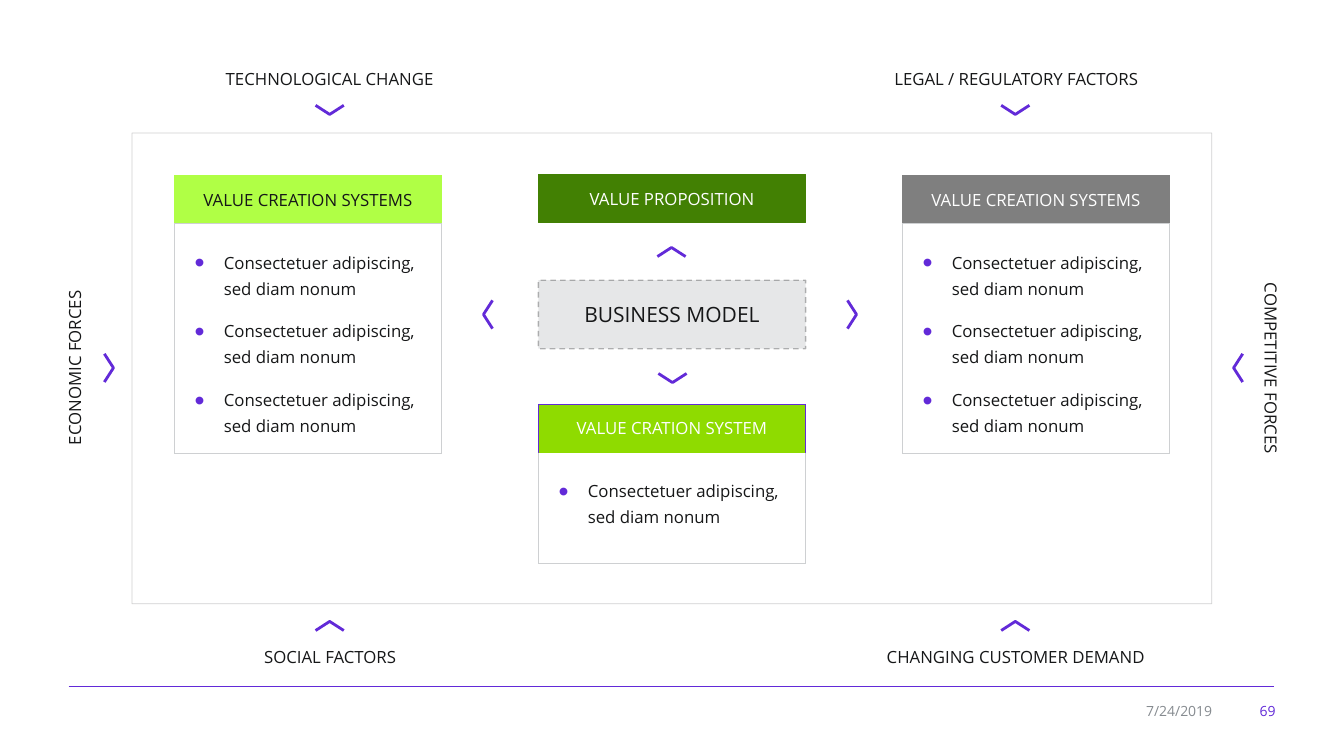
from dataclasses import dataclass
from typing import Any, Dict, Optional

import pptx
import pptx.dml.color
import pptx.enum.dml
import pptx.enum.shapes
import pptx.enum.text
import pptx.oxml.ns
import pptx.util
from lxml import etree

RGBColor = pptx.dml.color.RGBColor
Inches = pptx.util.Inches
Pt = pptx.util.Pt
qn = pptx.oxml.ns.qn
PP_ALIGN = pptx.enum.text.PP_ALIGN
MSO_ANCHOR = pptx.enum.text.MSO_ANCHOR
MSO_SHAPE = pptx.enum.shapes.MSO_SHAPE

FONT = "Open Sans"
INK = RGBColor(0x16, 0x17, 0x18)
WHITE = RGBColor(0xFF, 0xFF, 0xFF)
PURPLE = RGBColor(0x62, 0x2A, 0xD8)
RULE_GREY = RGBColor(0xCE, 0xD0, 0xD2)
DATE_GREY = RGBColor(0x86, 0x8B, 0x90)
GREY = RGBColor(0x7F, 0x7F, 0x7F)
PALE_GREY = RGBColor(0xE6, 0xE7, 0xE8)
LIME = RGBColor(0xB0, 0xFF, 0x45)
GREEN = RGBColor(0x8F, 0xDB, 0x00)
DARK_GREEN = RGBColor(0x42, 0x80, 0x03)

NO_TABLE_STYLE = "{2D5ABB26-0587-4C30-8999-92F81FD0307C}"
BULLET_TEXT = "Consectetuer adipiscing, sed diam nonum"
CARD_W = 2.65
HEAD_H = 0.48
MID_X = 5.34
CHEVRON_W, CHEVRON_H = 0.28, 0.09


@dataclass
class Card:
    x: float
    y: float
    body_h: float
    title: str
    bullets: int
    fill: RGBColor
    edge: RGBColor
    color: RGBColor
    divider: bool = True


@dataclass
class Chevron:
    x: float  # centre
    y: float
    dx: int  # pointing direction
    dy: int


@dataclass
class Label:
    x: float
    y: float
    w: float
    h: float
    text: str
    size: float = 12
    color: RGBColor = INK
    align: Any = PP_ALIGN.CENTER
    vert: Optional[str] = None
    wrap: bool = False


CARDS = [
    Card(8.95, 1.74, 2.28, "VALUE CREATION SYSTEMS", 3, GREY, GREY, WHITE),
    Card(1.73, 1.74, 2.28, "VALUE CREATION SYSTEMS", 3, LIME, LIME, INK),
    Card(MID_X, 4.01, 1.1, "VALUE CRATION SYSTEM", 1, GREEN, PURPLE, WHITE, False),
]
CHEVRONS = [
    # Around the business model
    Chevron(6.67, 3.75, 0, 1), Chevron(6.66, 2.5, 0, -1),
    Chevron(4.84, 3.12, -1, 0), Chevron(8.45, 3.12, 1, 0),
    # From the outside forces
    Chevron(3.27, 1.09, 0, 1), Chevron(10.07, 1.09, 0, 1),
    Chevron(3.27, 6.21, 0, -1), Chevron(10.07, 6.21, 0, -1),
    Chevron(1.08, 3.65, 1, 0), Chevron(12.28, 3.65, -1, 0),
]
LABELS = [
    Label(2.08, 0.63, 2.38, 0.3, "TECHNOLOGICAL CHANGE"),
    Label(8.64, 0.63, 2.88, 0.3, "LEGAL / REGULATORY FACTORS"),
    Label(2.45, 6.37, 1.65, 0.3, "SOCIAL FACTORS"),
    Label(8.64, 6.37, 2.87, 0.3, "CHANGING CUSTOMER DEMAND"),
    Label(0.59, 2.78, 0.4, 1.74, "ECONOMIC FORCES", vert="vert270"),
    Label(12.36, 2.68, 0.4, 1.95, "COMPETITIVE FORCES", vert="vert"),
    Label(12.24, 6.92, 0.51, 0.26, "69", 10, PURPLE, PP_ALIGN.RIGHT, wrap=True),
    Label(11.17, 6.92, 0.95, 0.26, "7/24/2019", 10, DATE_GREY, PP_ALIGN.RIGHT, wrap=True),
]


def add_run(p: Any, text: str, size: float, color: RGBColor) -> None:
    r = p.add_run()
    r.text = text
    r.font.name = FONT
    r.font.size = Pt(size)
    r.font.color.rgb = color


def set_line_alpha(sp: Any, percent: int) -> None:
    clr = sp.line.fill._xPr.find(".//" + qn("a:srgbClr"))
    etree.SubElement(clr, qn("a:alpha"), val=str(percent * 1000))


def set_borders(cell: Any, colors: Dict[str, RGBColor]) -> None:
    tcPr = cell._tc.get_or_add_tcPr()
    for side in "LRTB":
        if side in colors:
            ln = etree.SubElement(tcPr, qn("a:ln" + side), w=str(Pt(0.5)))
            fill = etree.SubElement(ln, qn("a:solidFill"))
            etree.SubElement(fill, qn("a:srgbClr"), val=str(colors[side]))


def add_bullet(p: Any) -> None:
    pPr = p._p.get_or_add_pPr()
    pPr.set("marL", str(Inches(0.29)))
    pPr.set("indent", str(-Inches(0.29)))
    clr = etree.SubElement(pPr, qn("a:buClr"))
    etree.SubElement(clr, qn("a:srgbClr"), val=str(PURPLE))
    etree.SubElement(pPr, qn("a:buSzPct"), val="170000")
    etree.SubElement(pPr, qn("a:buFont"), typeface="Arial")
    etree.SubElement(pPr, qn("a:buChar"), char="•")
    p.line_spacing = 1.14
    p.space_after = Pt(12)


def add_card(s: Any, card: Card) -> None:
    frame = s.shapes.add_table(2, 1, Inches(card.x), Inches(card.y),
                               Inches(CARD_W), Inches(HEAD_H + card.body_h))
    tbl = frame.table
    tbl.first_row = tbl.horz_banding = False
    tbl._tbl.tblPr.find(qn("a:tableStyleId")).text = NO_TABLE_STYLE
    tbl.rows[0].height = Inches(HEAD_H)
    tbl.rows[1].height = Inches(card.body_h)

    head, body = tbl.cell(0, 0), tbl.cell(1, 0)
    divider = {"B": RULE_GREY} if card.divider else {}
    set_borders(head, {**dict.fromkeys("LRT", card.edge), **divider})
    head.fill.solid()
    head.fill.fore_color.rgb = card.fill
    head.vertical_anchor = MSO_ANCHOR.MIDDLE
    p = head.text_frame.paragraphs[0]
    p.alignment = PP_ALIGN.CENTER
    add_run(p, card.title, 12, card.color)

    set_borders(body, dict.fromkeys("LRTB" if card.divider else "LRB", RULE_GREY))
    body.fill.background()
    body.margin_left = body.margin_right = Inches(0.2)
    body.margin_top, body.margin_bottom = Inches(0.24), Inches(0.05)
    tf = body.text_frame
    for i in range(card.bullets):
        p = tf.add_paragraph() if i else tf.paragraphs[0]
        add_bullet(p)
        add_run(p, BULLET_TEXT, 12, INK)


def add_box(s: Any, x: float, y: float, w: float, h: float, fill: Optional[RGBColor],
            line: RGBColor, width: float, text: str = "", size: float = 12,
            color: RGBColor = INK) -> Any:
    sp = s.shapes.add_shape(MSO_SHAPE.RECTANGLE, Inches(x), Inches(y), Inches(w), Inches(h))
    sp.shadow.inherit = False
    if fill is None:
        sp.fill.background()
    else:
        sp.fill.solid()
        sp.fill.fore_color.rgb = fill
    sp.line.color.rgb = line
    sp.line.width = Pt(width)
    if text:
        sp.text_frame.vertical_anchor = MSO_ANCHOR.MIDDLE
        p = sp.text_frame.paragraphs[0]
        p.alignment = PP_ALIGN.CENTER
        add_run(p, text, size, color)
    return sp


def add_chevron(s: Any, c: Chevron) -> None:
    # Each point is (along the direction, across it) from the centre
    offsets = [(-CHEVRON_H / 2, -CHEVRON_W / 2), (CHEVRON_H / 2, 0), (-CHEVRON_H / 2, CHEVRON_W / 2)]
    pts = [(Inches(c.x + a * c.dx + b * c.dy), Inches(c.y + a * c.dy + b * c.dx)) for a, b in offsets]
    fb = s.shapes.build_freeform(*pts[0])
    fb.add_line_segments(pts[1:], close=False)
    sp = fb.convert_to_shape()
    sp.shadow.inherit = False
    sp.fill.solid()
    sp.fill.fore_color.rgb = WHITE
    sp.line.color.rgb = PURPLE
    sp.line.width = Pt(2)


def add_label(s: Any, label: Label) -> None:
    tb = s.shapes.add_textbox(Inches(label.x), Inches(label.y), Inches(label.w), Inches(label.h))
    tf = tb.text_frame
    tf.word_wrap = label.wrap
    if label.wrap:
        tf.vertical_anchor = MSO_ANCHOR.MIDDLE
    if label.vert:
        tf._txBody.bodyPr.set("vert", label.vert)
    p = tf.paragraphs[0]
    p.alignment = label.align
    add_run(p, label.text, label.size, label.color)


def main() -> None:
    prs = pptx.Presentation()
    prs.slide_width, prs.slide_height = Inches(13.33), Inches(7.5)
    s = prs.slides.add_slide(prs.slide_layouts[6])

    # Footer rule
    rule = s.shapes.add_connector(pptx.enum.shapes.MSO_CONNECTOR.STRAIGHT,
                                  Inches(0.68), Inches(6.81), Inches(12.64), Inches(6.81))
    rule.line.color.rgb = PURPLE
    rule.line.width = Pt(0.75)
    etree.SubElement(rule._element.spPr, qn("a:effectLst"))

    # Cards and outer frame
    for card in CARDS:
        add_card(s, card)
    set_line_alpha(add_box(s, 1.31, 1.32, 10.71, 4.67, None, INK, 0.5), 20)

    # Arrows and labels
    for chevron in CHEVRONS:
        add_chevron(s, chevron)
    for label in LABELS:
        add_label(s, label)

    # Centre boxes
    model = add_box(s, MID_X, 2.78, CARD_W, 0.68, PALE_GREY, INK, 1, "BUSINESS MODEL", 15)
    model.line.dash_style = pptx.enum.dml.MSO_LINE.DASH
    set_line_alpha(model, 30)
    add_box(s, MID_X, 1.73, CARD_W, HEAD_H, DARK_GREEN, DARK_GREEN, 1, "VALUE PROPOSITION", 12, WHITE)

    prs.save("out.pptx")


if __name__ == "__main__":
    main()
